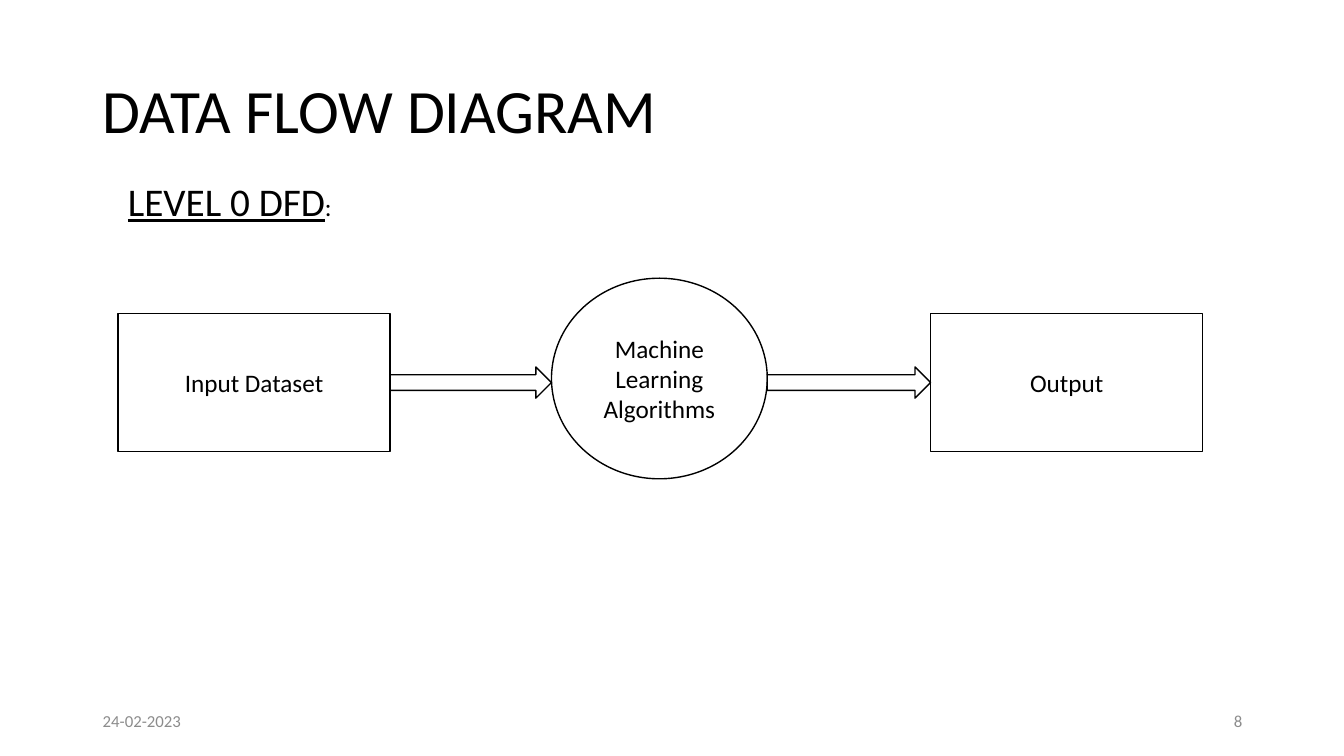
from dataclasses import dataclass

import pptx
import pptx.dml.color
import pptx.enum.shapes
import pptx.enum.text
import pptx.shapes.autoshape
import pptx.text.text
import pptx.util

Inches = pptx.util.Inches
Pt = pptx.util.Pt
MSO_SHAPE = pptx.enum.shapes.MSO_SHAPE
PP_ALIGN = pptx.enum.text.PP_ALIGN
MSO_ANCHOR = pptx.enum.text.MSO_ANCHOR

FONT = "Calibri"
BLACK, WHITE, GRAY = "000000", "FFFFFF", "8C8C8C"
ARROW_TOP, ARROW_HEIGHT = 3.64, 0.31


@dataclass
class Node:
    text: str
    kind: MSO_SHAPE
    left: float
    top: float
    width: float
    height: float


@dataclass
class Label:
    text: str
    left: float
    top: float
    width: float
    height: float
    size: int
    color: str = BLACK
    align: PP_ALIGN = PP_ALIGN.LEFT
    anchor: MSO_ANCHOR = MSO_ANCHOR.MIDDLE
    line_spacing: float = 1.0


NODES = [
    Node("Input Dataset", MSO_SHAPE.RECTANGLE, 1.17, 3.11, 2.7, 1.37),
    Node("Machine Learning Algorithms", MSO_SHAPE.OVAL, 5.47, 2.76, 2.14, 1.99),
    Node("Output", MSO_SHAPE.RECTANGLE, 9.23, 3.11, 2.7, 1.37),
]
TITLE = Label("DATA FLOW DIAGRAM", 0.92, 0.4, 11.5, 1.45, 44, line_spacing=0.9)
LEVEL = Label("LEVEL 0 DFD", 1.17, 1.71, 4.3, 0.57, 28, anchor=MSO_ANCHOR.TOP)
DATE = Label("24-02-2023", 0.92, 6.95, 3, 0.4, 12, GRAY)
PAGE = Label("8", 9.42, 6.95, 3, 0.4, 12, GRAY, PP_ALIGN.RIGHT)


def rgb(color: str) -> pptx.dml.color.RGBColor:
    return pptx.dml.color.RGBColor.from_string(color)


def set_font(font: pptx.text.text.Font, size: int, color: str) -> None:
    font.name = FONT
    font.size = Pt(size)
    font.color.rgb = rgb(color)


def add_outlined(s, kind: MSO_SHAPE, left: float, top: float, width: float,
                 height: float) -> pptx.shapes.autoshape.Shape:
    sp = s.shapes.add_shape(kind, Inches(left), Inches(top), Inches(width), Inches(height))
    sp.shadow.inherit = False
    sp.fill.solid()
    sp.fill.fore_color.rgb = rgb(WHITE)
    sp.line.color.rgb = rgb(BLACK)
    sp.line.width = Pt(1)
    return sp


def add_node(s, node: Node) -> None:
    sp = add_outlined(s, node.kind, node.left, node.top, node.width, node.height)
    tf = sp.text_frame
    tf.word_wrap = True
    tf.vertical_anchor = MSO_ANCHOR.MIDDLE
    p = tf.paragraphs[0]
    p.text = node.text
    p.alignment = PP_ALIGN.CENTER
    set_font(p.font, 18, BLACK)


def add_flow(s, source: Node, target: Node) -> None:
    """Fill the gap between two nodes with a block arrow."""
    left = source.left + source.width
    add_outlined(s, MSO_SHAPE.RIGHT_ARROW, left, ARROW_TOP, target.left - left, ARROW_HEIGHT)


def add_label(s, label: Label) -> pptx.text.text._Paragraph:
    sp = s.shapes.add_textbox(Inches(label.left), Inches(label.top),
                              Inches(label.width), Inches(label.height))
    tf = sp.text_frame
    tf.word_wrap = True
    tf.vertical_anchor = label.anchor
    p = tf.paragraphs[0]
    p.text = label.text
    p.alignment = label.align
    p.line_spacing = label.line_spacing
    set_font(p.font, label.size, label.color)
    return p


def main() -> None:
    prs = pptx.Presentation()
    prs.slide_width, prs.slide_height = Inches(13.33), Inches(7.5)
    s = prs.slides.add_slide(prs.slide_layouts[6])

    add_label(s, TITLE)
    for node in NODES:
        add_node(s, node)
    for source, target in zip(NODES, NODES[1:]):
        add_flow(s, source, target)

    p = add_label(s, LEVEL)
    p.runs[0].font.underline = True
    r = p.add_run()
    r.text = ":"
    r.font.size = Pt(18)

    add_label(s, DATE)
    add_label(s, PAGE)
    prs.save("out.pptx")


if __name__ == "__main__":
    main()
